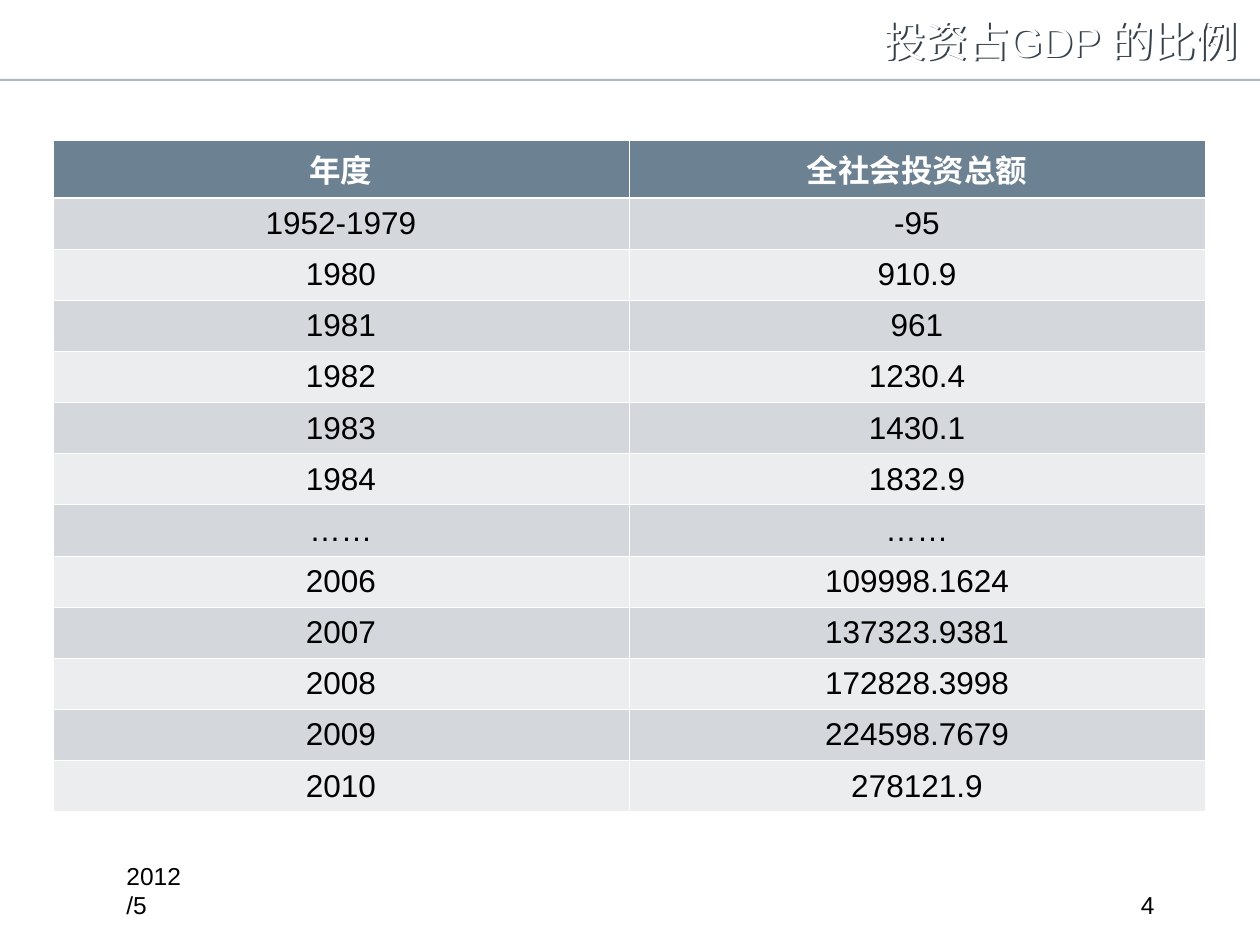
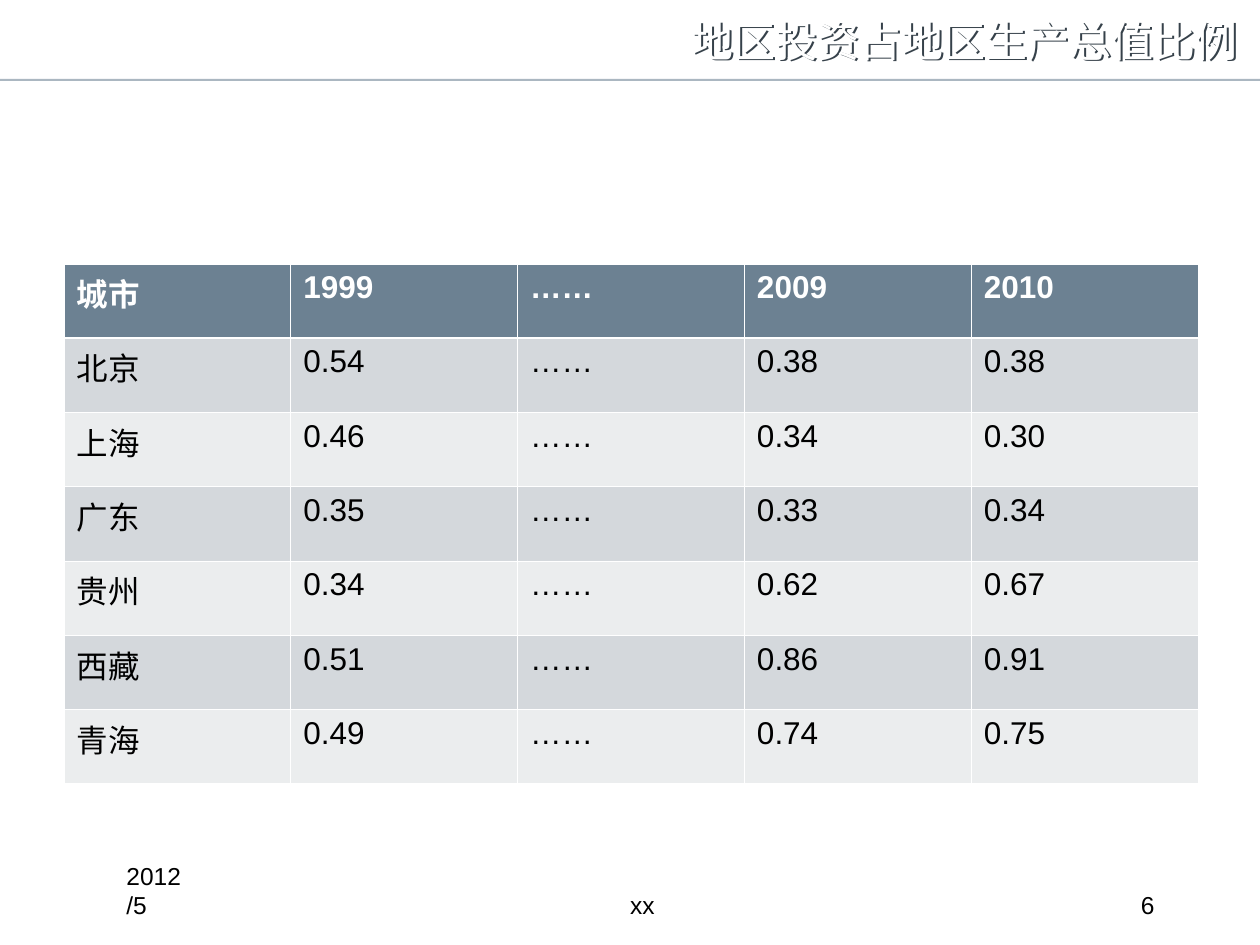
from lxml import etree
from pptx import Presentation
from pptx.dml.color import RGBColor
from pptx.enum.shapes import MSO_SHAPE
from pptx.enum.text import MSO_ANCHOR, PP_ALIGN
from pptx.oxml.ns import qn
from pptx.util import Pt

LEFT, CENTER, RIGHT = PP_ALIGN.LEFT, PP_ALIGN.CENTER, PP_ALIGN.RIGHT
TOP, MIDDLE, BOTTOM = MSO_ANCHOR.TOP, MSO_ANCHOR.MIDDLE, MSO_ANCHOR.BOTTOM
RECTANGLE = MSO_SHAPE.RECTANGLE

# Shared style
EMU_PER_PX = 914400 / 126
SLIDE_SIZE = (1260, 945)
FONT = "Arial"
WHITE, BLACK = "FFFFFF", "000000"
RULE_COLOR, TITLE_SHADOW = "ABB7C1", "36414A"
HEADER_FILL, BAND_FILLS = "6C8192", ("D4D8DC", "EBEDEE")
THIN_BORDER, HEADER_BORDER = 0.45, 1.47

# Shared positions: left, top, width, height in px
RULE_BOX = (0, 79, 1260, 2)
TITLE_BOX = (408, 9, 842, 87)
DATE_BOX = (114, 890, 81, 36)
FOOTER_BOX = (211, 890, 863, 36)
NUMBER_BOX = (1086, 890, 81, 36)

DATE = "2012/5"
SLIDES = [
    {
        "title": "投资占GDP 的比例",
        "footer": "",
        "number": "4",
        "table_box": (53, 140, 1152, 672),
        "header_height": 58,
        "align": CENTER,
        "anchor": MIDDLE,
        "rows": [
            ("年度", "全社会投资总额"),
            ("1952-1979", "-95"),
            ("1980", "910.9"),
            ("1981", "961"),
            ("1982", "1230.4"),
            ("1983", "1430.1"),
            ("1984", "1832.9"),
            ("……", "……"),
            ("2006", "109998.1624"),
            ("2007", "137323.9381"),
            ("2008", "172828.3998"),
            ("2009", "224598.7679"),
            ("2010", "278121.9"),
        ],
    },
    {
        "title": "地区投资占地区生产总值比例",
        "footer": "xx",
        "number": "6",
        "table_box": (64, 264, 1134, 520),
        "header_height": 74,
        "align": LEFT,
        "anchor": TOP,
        "rows": [
            ("城市", "1999", "……", "2009", "2010"),
            ("北京", "0.54", "……", "0.38", "0.38"),
            ("上海", "0.46", "……", "0.34", "0.30"),
            ("广东", "0.35", "……", "0.33", "0.34"),
            ("贵州", "0.34", "……", "0.62", "0.67"),
            ("西藏", "0.51", "……", "0.86", "0.91"),
            ("青海", "0.49", "……", "0.74", "0.75"),
        ],
    },
]


def emu(px):
    return round(px * EMU_PER_PX)


def box_emu(box):
    return [emu(px) for px in box]


def rgb(color):
    return RGBColor.from_string(color)


def write_text(text_frame, text, size, color, align, bold=False):
    text_frame.text = text
    paragraph = text_frame.paragraphs[0]
    paragraph.alignment = align
    font = paragraph.runs[0].font
    font.name = FONT
    font.size = Pt(size)
    font.bold = bold
    font.color.rgb = rgb(color)


def add_text(slide, box, text, size, color, align, anchor):
    shape = slide.shapes.add_textbox(*box_emu(box))
    shape.text_frame.word_wrap = True
    shape.text_frame.vertical_anchor = anchor
    write_text(shape.text_frame, text, size, color, align)
    return shape


def add_title(slide, text):
    title = add_text(slide, TITLE_BOX, text, 24, WHITE, RIGHT, TOP)
    # An unfilled box casts its shadow from the letters
    effects = etree.SubElement(title._element.spPr, qn("a:effectLst"))
    shadow = etree.SubElement(effects, qn("a:outerShdw"), dist="17961",
                              dir="2700000", algn="ctr", rotWithShape="0")
    etree.SubElement(shadow, qn("a:srgbClr"), val=TITLE_SHADOW)


def add_rule(slide):
    rule = slide.shapes.add_shape(RECTANGLE, *box_emu(RULE_BOX))
    rule.shadow.inherit = False
    rule.fill.solid()
    rule.fill.fore_color.rgb = rgb(RULE_COLOR)
    rule.line.fill.background()


def set_borders(cell, top, bottom):
    properties = cell._tc.get_or_add_tcPr()
    widths = {"lnL": THIN_BORDER, "lnR": THIN_BORDER, "lnT": top, "lnB": bottom}
    for side, width in widths.items():
        line = etree.SubElement(properties, qn(f"a:{side}"), w=str(Pt(width)))
        fill = etree.SubElement(line, qn("a:solidFill"))
        etree.SubElement(fill, qn("a:srgbClr"), val=WHITE)


def add_data_table(slide, content):
    rows = content["rows"]
    box = content["table_box"]
    header_height = content["header_height"]
    body_height = (box[3] - header_height) / (len(rows) - 1)
    table = slide.shapes.add_table(len(rows), len(rows[0]), *box_emu(box)).table
    for column in table.columns:
        column.width = emu(box[2] / len(rows[0]))
    for row_index, values in enumerate(rows):
        is_header = row_index == 0
        table.rows[row_index].height = emu(header_height if is_header else body_height)
        fill = HEADER_FILL if is_header else BAND_FILLS[(row_index - 1) % 2]
        top = HEADER_BORDER if row_index == 1 else THIN_BORDER
        bottom = HEADER_BORDER if is_header else THIN_BORDER
        for column_index, value in enumerate(values):
            cell = table.cell(row_index, column_index)
            set_borders(cell, top, bottom)
            cell.fill.solid()
            cell.fill.fore_color.rgb = rgb(fill)
            cell.vertical_anchor = content["anchor"]
            write_text(cell.text_frame, value, 18, WHITE if is_header else BLACK,
                       content["align"], is_header)


def add_footers(slide, content):
    footers = [
        (DATE_BOX, DATE, LEFT),
        (FOOTER_BOX, content["footer"], CENTER),
        (NUMBER_BOX, content["number"], RIGHT),
    ]
    for box, text, align in footers:
        if text:
            add_text(slide, box, text, 14, BLACK, align, BOTTOM)


def main():
    presentation = Presentation()
    presentation.slide_width, presentation.slide_height = box_emu(SLIDE_SIZE)
    for content in SLIDES:
        slide = presentation.slides.add_slide(presentation.slide_layouts[6])
        add_rule(slide)
        add_title(slide, content["title"])
        add_data_table(slide, content)
        add_footers(slide, content)
    presentation.save("out.pptx")


if __name__ == "__main__":
    main()
